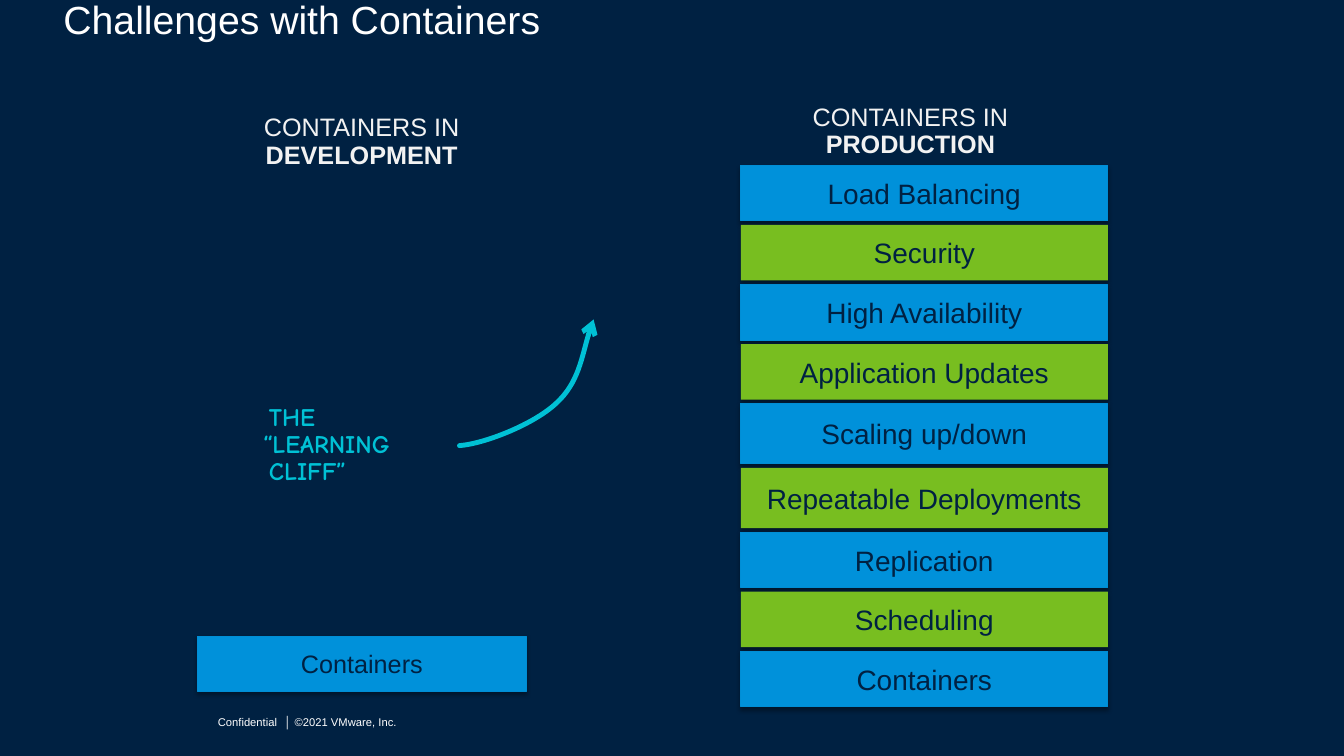
from dataclasses import dataclass
from itertools import cycle
from typing import Any

from lxml.etree import SubElement
from pptx import Presentation
from pptx.dml.color import RGBColor
from pptx.enum.shapes import MSO_SHAPE as Geo
from pptx.enum.text import MSO_ANCHOR as Anchor, PP_ALIGN as Align
from pptx.oxml.ns import qn
from pptx.util import Cm, Pt

NAVY, BLUE, EDGE, GREEN = "002142", "0091DA", "008ED5", "78BE20"
CYAN, WHITE, PALE = "00C1D5", "FFFFFF", "F2F2F2"


@dataclass
class Line:
    text: str
    bold: bool = False
    indent: float = 0


@dataclass
class Label:
    box: tuple[float, float, float, float]
    lines: list[Line]
    size: float
    hue: str
    font: str = "Arial"
    align: Align = Align.LEFT
    anchor: Anchor = Anchor.TOP
    tab: float = 0


@dataclass
class Bar:
    text: str
    box: tuple[float, float, float, float]
    fill: str
    size: float = 20


def color(code: str) -> RGBColor:
    return RGBColor.from_string(code)


def add(parent: Any, tag: str, **attrs: Any) -> Any:
    """Append a DrawingML child element."""
    return SubElement(parent, qn(f"a:{tag}"), {k: str(v) for k, v in attrs.items()})


def style(font: Any, hue: str, **values: Any) -> None:
    for name, value in values.items():
        setattr(font, name, value)
    font.color.rgb = color(hue)


def draw_label(slide: Any, label: Label) -> None:
    frame = slide.shapes.add_textbox(*map(Cm, label.box)).text_frame
    frame.word_wrap = True
    frame.vertical_anchor = label.anchor
    for side in ("left", "top", "right", "bottom"):
        setattr(frame, f"margin_{side}", 0)
    for i, line in enumerate(label.lines):
        para = frame.add_paragraph() if i else frame.paragraphs[0]
        para.alignment, para.line_spacing = label.align, 0.9
        props = para._p.get_or_add_pPr()
        if line.indent:
            props.set("marL", str(Cm(line.indent)))
        if label.tab:
            add(add(props, "tabLst"), "tab", pos=Cm(label.tab), algn="l")
        run = para.add_run()
        run.text = line.text
        style(run.font, label.hue, name=label.font, size=Pt(label.size), bold=line.bold)


def draw_bar(slide: Any, bar: Bar) -> None:
    shape = slide.shapes.add_shape(Geo.RECTANGLE, *map(Cm, bar.box))
    shape.fill.solid()
    shape.fill.fore_color.rgb = color(bar.fill)
    if bar.fill == BLUE:
        shape.line.color.rgb = color(EDGE)
        shape.line.width = Pt(0.75)
    else:
        shape.line.fill.background()
    shape.shadow.inherit = False
    glow = add(shape._element.spPr.find(qn("a:effectLst")), "outerShdw",
               blurRad=Pt(3.1), dist=Pt(1.8), dir=5400000, rotWithShape=0)
    add(add(glow, "srgbClr", val="000000"), "alpha", val=35000)
    frame = shape.text_frame
    frame.vertical_anchor = Anchor.MIDDLE
    para = frame.paragraphs[0]
    para.alignment = Align.CENTER
    run = para.add_run()
    run.text = bar.text
    style(run.font, NAVY, name="Arial", size=Pt(bar.size))


def draw_curve(slide: Any, points: list[tuple[float, float]]) -> None:
    """Draw an arrow through cubic segments: a start, then three points each."""
    start, *rest = [(Cm(x), Cm(y)) for x, y in points]
    pen = slide.shapes.build_freeform(*start)
    pen.add_line_segments(rest, close=False)
    shape = pen.convert_to_shape()
    track = shape._element.spPr.find(".//" + qn("a:path"))
    track.set("fill", "none")
    steps = track.findall(qn("a:lnTo"))
    for i in range(0, len(steps), 3):
        bend = add(track, "cubicBezTo")
        for step in steps[i:i + 3]:
            bend.append(step[0])
            track.remove(step)
    shape.fill.background()
    shape.shadow.inherit = False
    shape.line.color.rgb = color(CYAN)
    shape.line.width = Pt(3.5)
    pen_line = shape.line._get_or_add_ln()
    pen_line.set("cap", "rnd")
    add(pen_line, "round")
    add(pen_line, "tailEnd", type="arrow")


LABELS = [
    Label((5.49, 17.96, 6, 0.51), [Line("Confidential\t│ ©2021 VMware, Inc.")],
          8, WHITE, anchor=Anchor.MIDDLE, tab=1.68),
    Label((1.6, 0.02, 30.56, 1.07), [Line("Challenges with Containers")], 28, WHITE),
    Label((6.55, 2.9, 5.13, 1.7),
          [Line("CONTAINERS IN"), Line("DEVELOPMENT", True)],
          18, PALE, align=Align.CENTER),
    Label((17.04, 2.64, 11.81, 1.42),
          [Line("CONTAINERS IN"), Line("PRODUCTION", True)],
          18, PALE, align=Align.CENTER),
    Label((6.63, 10.19, 4.5, 2.1),
          [Line("THE", True, 0.15), Line("“LEARNING", True), Line("CLIFF”", True, 0.15)],
          18, CYAN, font="Comic Neue"),
]
SHORT, TALL, GAP = 1.4, 1.52, 0.1
STACK = [
    ("Load Balancing", SHORT), ("Security", SHORT), ("High Availability", SHORT),
    ("Application Updates", SHORT), ("Scaling up/down", TALL),
    ("Repeatable Deployments", TALL), ("Replication", SHORT),
    ("Scheduling", SHORT), ("Containers", SHORT),
]
CLIFF = [(11.58, 11.23), (12.22, 11.18), (13.46, 10.69), (14.02, 10.16),
         (14.58, 9.65), (14.73, 8.64), (14.96, 8.05)]


def main() -> None:
    deck = Presentation()
    deck.slide_width, deck.slide_height = Cm(33.87), Cm(19.05)
    slide = deck.slides.add_slide(deck.slide_layouts[6])
    slide.background.fill.solid()
    slide.background.fill.fore_color.rgb = color(NAVY)
    for label in LABELS:
        draw_label(slide, label)
    draw_curve(slide, CLIFF)
    top = 4.17
    for (text, height), fill in zip(STACK, cycle((BLUE, GREEN))):
        draw_bar(slide, Bar(text, (18.67, top, 9.25, height), fill))
        top += height + GAP
    draw_bar(slide, Bar("Containers", (4.98, 16.03, 8.28, SHORT), BLUE, 18))
    deck.save("out.pptx")


if __name__ == "__main__":
    main()
